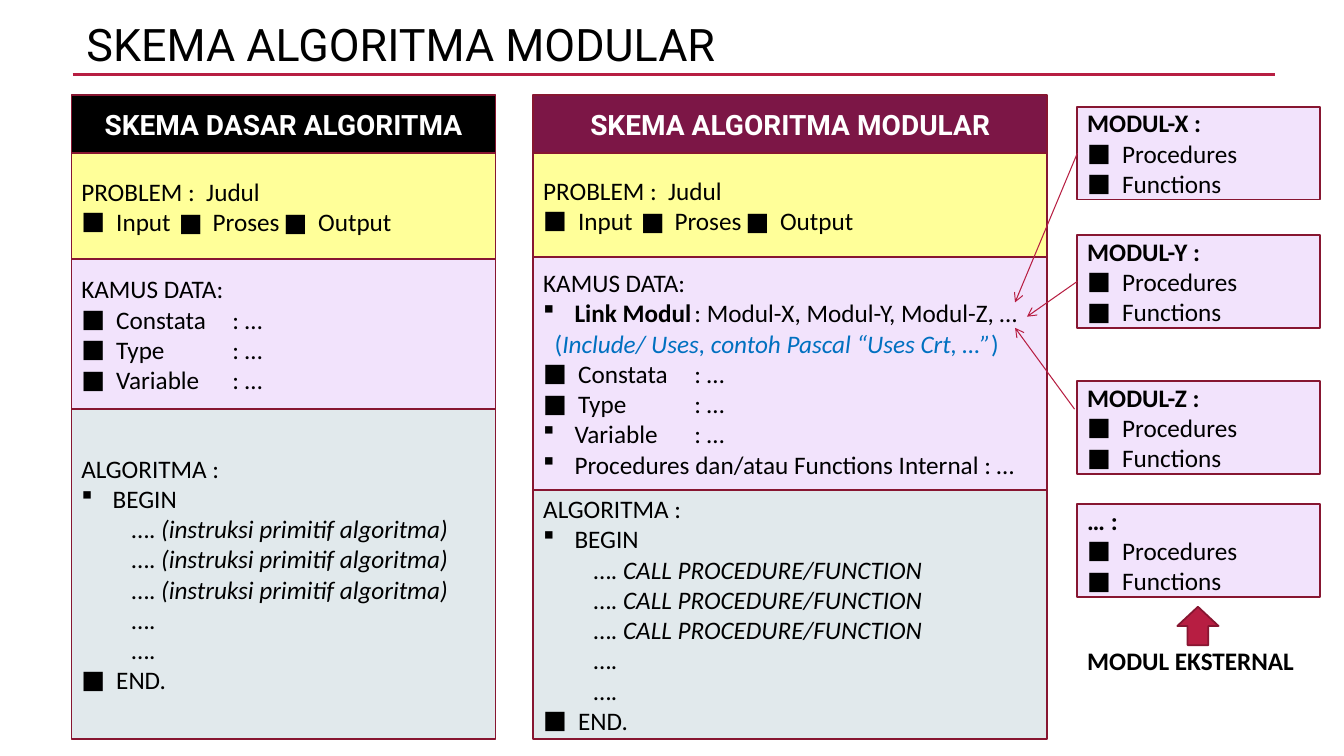
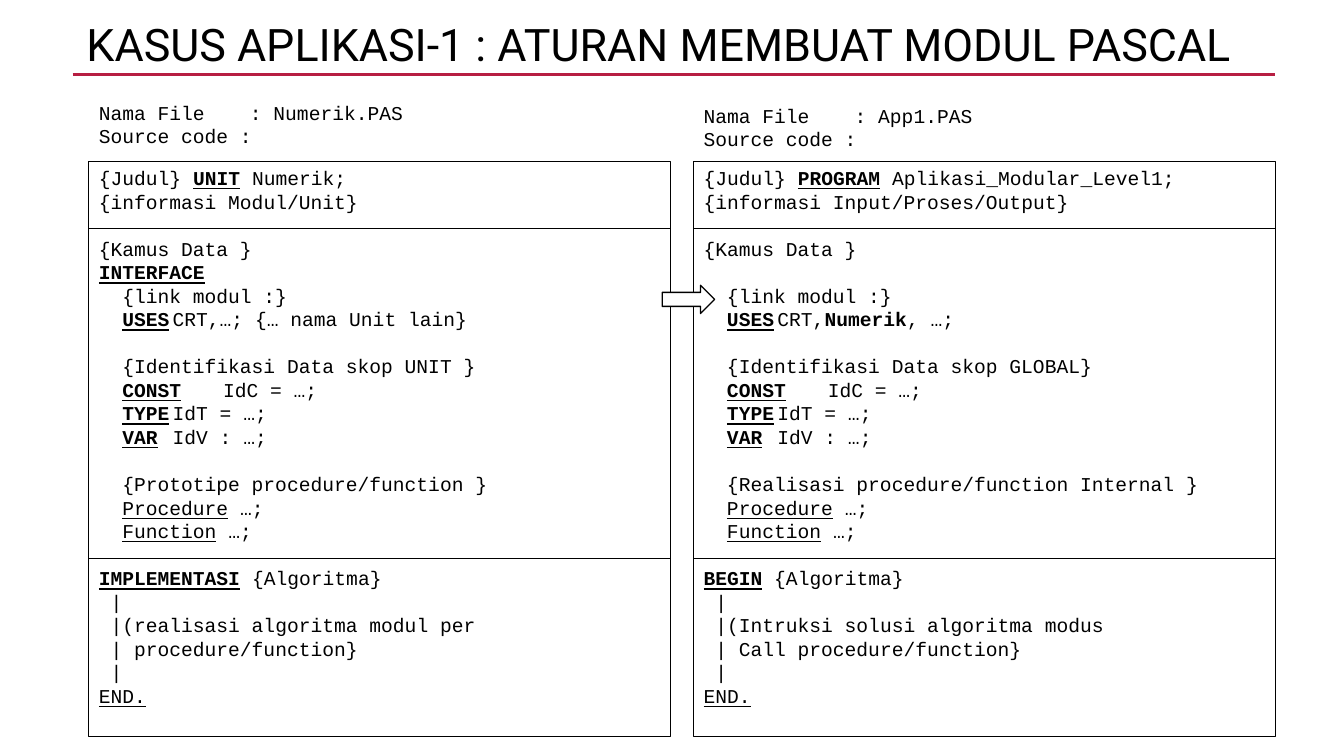
from dataclasses import dataclass, field
from itertools import accumulate

from lxml.etree import SubElement
from pptx import Presentation
from pptx.dml.color import RGBColor
from pptx.enum.shapes import MSO_CONNECTOR, MSO_SHAPE
from pptx.enum.text import MSO_ANCHOR, PP_ALIGN
from pptx.oxml.ns import qn
from pptx.util import Cm, Pt


@dataclass(frozen=True)
class Theme:
    black: str = "000000"
    white: str = "FFFFFF"
    red: str = "B71E42"
    dark_red: str = "871631"
    plum: str = "7C1646"
    yellow: str = "FFFF99"
    lilac: str = "F2E3FC"
    grey: str = "E1E9EC"
    blue: str = "0070C0"
    heading: str = "Roboto"
    body: str = "Calibri"
    code: str = "Courier New"
    title_size: float = 32
    head_size: float = 20
    body_size: float = 18
    code_size: float = 14
    leading: float = 1.2


T = Theme()
BOLD = {"bold": True}
ITALIC = {"italic": True}
UNDERLINE = {"underline": True}
KEYWORD = BOLD | UNDERLINE
BODY = {"name": T.body, "size": Pt(T.body_size), "color": T.black}
CODE = {"name": T.code, "size": Pt(T.code_size), "color": T.black}
HEAD = {"name": T.heading, "size": Pt(T.head_size), "color": T.white, "bold": True}
TITLE = {"name": T.heading, "size": Pt(T.title_size), "color": T.black}
CHAR = 0.296  # width of one code character, cm


@dataclass(frozen=True)
class Run:
    text: str
    fmt: dict = field(default_factory=dict)


@dataclass(frozen=True)
class Bullet:
    char: str
    font: str
    hang: float


SQUARE = Bullet("■", T.body, 0.88)
SMALL_SQUARE = Bullet("§", "Wingdings", 0.79)


@dataclass(frozen=True)
class Para:
    """One paragraph; gap counts the empty lines kept above it, lengths are cm."""
    runs: tuple[Run, ...]
    indent: float = 0
    bullet: Bullet | None = None
    tabs: tuple[float, ...] = ()
    gap: int = 0


@dataclass(frozen=True)
class Section:
    height: float
    fill: str
    paras: list[Para]


@dataclass(frozen=True)
class SourceFile:
    name: str
    label_top: float
    left: float
    keyword: str
    title: str
    info: str
    interface: tuple[str, ...]
    uses: tuple
    scope: str
    routines: str
    body: str
    steps: tuple[str, str]


def para(*parts: str | Run, **layout) -> Para:
    return Para(tuple(Run(x) if isinstance(x, str) else x for x in parts), **layout)


def set_font(font, fmt: dict) -> None:
    for key, value in fmt.items():
        if key == "color":
            font.color.rgb = RGBColor.from_string(value)
        else:
            setattr(font, key, value)


def set_layout(p, spec_para: Para) -> None:
    """Indent, bullet and tab stops of a paragraph."""
    pPr = p._p.get_or_add_pPr()
    bullet = spec_para.bullet
    hang = bullet.hang if bullet else 0
    pPr.set("marL", str(Cm(spec_para.indent + hang)))
    pPr.set("indent", str(-Cm(hang)))
    if bullet:
        SubElement(pPr, qn("a:buFont"), typeface=bullet.font)
        SubElement(pPr, qn("a:buChar"), char=bullet.char)
    if spec_para.tabs:
        tabs = SubElement(pPr, qn("a:tabLst"))
        for pos in spec_para.tabs:
            SubElement(tabs, qn("a:tab"), pos=str(Cm(pos)), algn="l")


def write(s, paras: list[Para], fmt: dict, anchor=MSO_ANCHOR.MIDDLE,
          align=PP_ALIGN.LEFT, spacing=None) -> None:
    tf = s.text_frame
    tf.word_wrap = True
    tf.vertical_anchor = anchor
    line = Pt(fmt["size"].pt * T.leading)
    for i, item in enumerate(paras):
        p = tf.paragraphs[0] if i == 0 else tf.add_paragraph()
        set_layout(p, item)
        p.alignment = align
        p.line_spacing = spacing or line
        if item.gap:
            p.space_before = line * item.gap
        for run in item.runs:
            r = p.add_run()
            r.text = run.text
            set_font(r.font, fmt | run.fmt)


def add_box(sp, left, top, width, height, fill: str, line: str | None = T.dark_red,
            weight: float = 1.25, kind=MSO_SHAPE.RECTANGLE):
    s = sp.add_shape(kind, Cm(left), Cm(top), Cm(width), Cm(height))
    s.shadow.inherit = False
    s.fill.solid()
    s.fill.fore_color.rgb = RGBColor.from_string(fill)
    if line:
        s.line.color.rgb = RGBColor.from_string(line)
        s.line.width = Pt(weight)
    else:
        s.line.fill.background()
    return s


def add_line(sp, start, end, color: str, weight: float = 0.75, arrow: bool = False):
    c = sp.add_connector(MSO_CONNECTOR.STRAIGHT, *map(Cm, (*start, *end)))
    c.line.color.rgb = RGBColor.from_string(color)
    c.line.width = Pt(weight)
    if arrow:
        SubElement(c.line._get_or_add_ln(), qn("a:tailEnd"), type="arrow")
    SubElement(c._element.spPr, qn("a:effectLst"))
    return c


def add_titled_slide(prs, title: str):
    sp = prs.slides.add_slide(prs.slide_layouts[6]).shapes
    add_line(sp, (1.83, 1.88), (32.13, 1.88), T.red, 2.5)
    s = sp.add_textbox(Cm(1.93), Cm(0.3), Cm(30.2), Cm(1.75))
    write(s, [para(title)], TITLE, spacing=0.9)
    return sp


def add_scheme(sp, left: float, width: float, head: str, head_fill: str,
               sections: list[Section]) -> None:
    """A heading with its sections stacked below it."""
    top, head_height = 2.39, 1.47
    s = add_box(sp, left, top, width, head_height, head_fill)
    write(s, [para(head)], HEAD, align=PP_ALIGN.CENTER)
    tops = accumulate((x.height for x in sections), initial=top + head_height)
    for y, section in zip(tops, sections):
        write(add_box(sp, left, y, width, section.height, section.fill),
              section.paras, BODY)


def entry(*parts: str | Run, bullet: Bullet = SQUARE) -> Para:
    return para(*parts, bullet=bullet, tabs=(3.81,))


def problem() -> list[Para]:
    return [para("PROBLEM :  Judul"),
            para("Input\t■\tProses\t■\tOutput", bullet=SQUARE,
                 tabs=(2.46, 3.31, 5.1, 5.97))]


def algorithm(step: str) -> list[Para]:
    steps = [para("…. ", Run(step, ITALIC), indent=1.27)] * 3
    return [para("ALGORITMA :"), entry("BEGIN", bullet=SMALL_SQUARE), *steps,
            *[para("….", indent=1.27)] * 2, entry("END.")]


def build_scheme_slide(prs) -> None:
    sp = add_titled_slide(prs, "SKEMA ALGORITMA MODULAR")
    basic = [entry("Constata\t: …"), entry("Type\t: …")]
    blue = {"color": T.blue}
    add_scheme(sp, 1.8, 10.69, "SKEMA DASAR ALGORITMA", T.black, [
        Section(2.67, T.yellow, problem()),
        Section(3.78, T.lilac,
                [para("KAMUS DATA:"), *basic, entry("Variable\t: …")]),
        Section(8.31, T.grey, algorithm("(instruksi primitif algoritma)")),
    ])
    add_scheme(sp, 13.44, 12.95, "SKEMA ALGORITMA MODULAR", T.plum, [
        Section(2.62, T.yellow, problem()),
        Section(5.86, T.lilac, [
            para("KAMUS DATA:"),
            entry(Run("Link Modul\t", BOLD), ": Modul-X, Modul-Y, Modul-Z, …",
                  bullet=SMALL_SQUARE),
            para(Run("(", blue),
                 Run("Include/ Uses, contoh Pascal “Uses Crt, …”", blue | ITALIC),
                 Run(")", blue), indent=0.29),
            *basic,
            entry("Variable\t: …", bullet=SMALL_SQUARE),
            entry("Procedures dan/atau Functions Internal : …", bullet=SMALL_SQUARE),
        ]),
        Section(6.29, T.grey, algorithm("CALL PROCEDURE/FUNCTION")),
    ])

    left, width = 27.15, 6.12
    modules = []
    for name, top in (("MODUL-X", 2.69), ("MODUL-Y", 5.92), ("MODUL-Z", 9.6), ("…", 12.7)):
        s = add_box(sp, left, top, width, 2.34, T.lilac)
        write(s, [para(Run(f"{name} :", BOLD)), entry("Procedures"),
                  entry("Functions")], BODY)
        modules.append(s)
    for module, end in zip(modules, ((25.58, 7.62), (25.88, 7.98))):
        c = add_line(sp, (left, 3.86), end, T.red, arrow=True)
        c.begin_connect(module, 1)
    add_line(sp, (27.08, 10.31), (25.58, 8.26), T.red, arrow=True)
    s = sp.add_textbox(Cm(left), Cm(15.77), Cm(width), Cm(1.73))
    write(s, [para(Run("MODUL EKSTERNAL", BOLD))], BODY)
    add_box(sp, 29.67, 15.29, 1.04, 0.97, T.red, kind=MSO_SHAPE.UP_ARROW)


def code_paras(f: SourceFile) -> list[Para]:
    inner, bar = 2 * CHAR, CHAR
    declarations = [para(Run(word, KEYWORD), *rest, indent=inner, tabs=(8 * CHAR,))
                    for word, rest in (("CONST", ("\tIdC = …;",)),
                                       ("TYPE", ("\tIdT = …;",)),
                                       ("VAR", ("\tIdV : …;",)))]
    return [
        para("{Judul} ", Run(f.keyword, KEYWORD), f" {f.title};"),
        para(f.info),
        para("{Kamus Data }", gap=1),
        *[para(Run(word, KEYWORD)) for word in f.interface],
        para("{link modul :}", indent=inner, gap=0 if f.interface else 1),
        para(Run("USES", KEYWORD), *f.uses, indent=inner, tabs=(8 * CHAR,)),
        para(f"{{Identifikasi Data skop {f.scope}}}", indent=inner, gap=1),
        *declarations,
        para(f"{{{f.routines} }}", indent=inner, gap=1),
        *[para(Run(word, UNDERLINE), " …;", indent=inner)
          for word in ("Procedure", "Function")],
        para(Run(f.body, KEYWORD), " {Algoritma}", gap=1),
        *[para(text, indent=bar) for text in ("|", *f.steps, "|")],
        para(Run("END.", UNDERLINE)),
    ]


def build_pascal_slide(prs) -> None:
    sp = add_titled_slide(prs, "KASUS APLIKASI-1 : ATURAN MEMBUAT MODUL PASCAL")
    width = 14.66
    files = [
        SourceFile("Numerik.PAS", 2.41, 2.24, "UNIT", "Numerik",
                   "{informasi Modul/Unit}", ("INTERFACE",),
                   ("\tCRT,…; {… nama Unit lain}",), "UNIT ",
                   "Prototipe procedure/function", "IMPLEMENTASI",
                   ("|(realisasi algoritma modul per", "| procedure/function}")),
        SourceFile("App1.PAS", 2.49, 17.48, "PROGRAM", "Aplikasi_Modular_Level1",
                   "{informasi Input/Proses/Output}", (),
                   ("\tCRT,", Run("Numerik", BOLD), ", …;"), "GLOBAL",
                   "Realisasi procedure/function Internal", "BEGIN",
                   ("|(Intruksi solusi algoritma modus", "| Call procedure/function}")),
    ]
    for f in files:
        s = add_box(sp, f.left, 4.06, width, 14.5, T.white, T.black, 0.5)
        write(s, code_paras(f), CODE, MSO_ANCHOR.TOP)
        for y in (5.77, 14.07):
            add_line(sp, (f.left, y), (f.left + width, y), T.black)
        s = add_box(sp, f.left, f.label_top, width, 1.55, T.white, None)
        write(s, [para(f"Nama File\t: {f.name}", tabs=(5.08,)),
                  para("Source code :")], CODE, MSO_ANCHOR.TOP)
    add_box(sp, 16.69, 7.19, 1.32, 0.71, T.white, T.black, 1, MSO_SHAPE.RIGHT_ARROW)


def main() -> None:
    prs = Presentation()
    prs.slide_width, prs.slide_height = Cm(33.87), Cm(19.05)
    build_scheme_slide(prs)
    build_pascal_slide(prs)
    prs.save("out.pptx")


if __name__ == "__main__":
    main()
